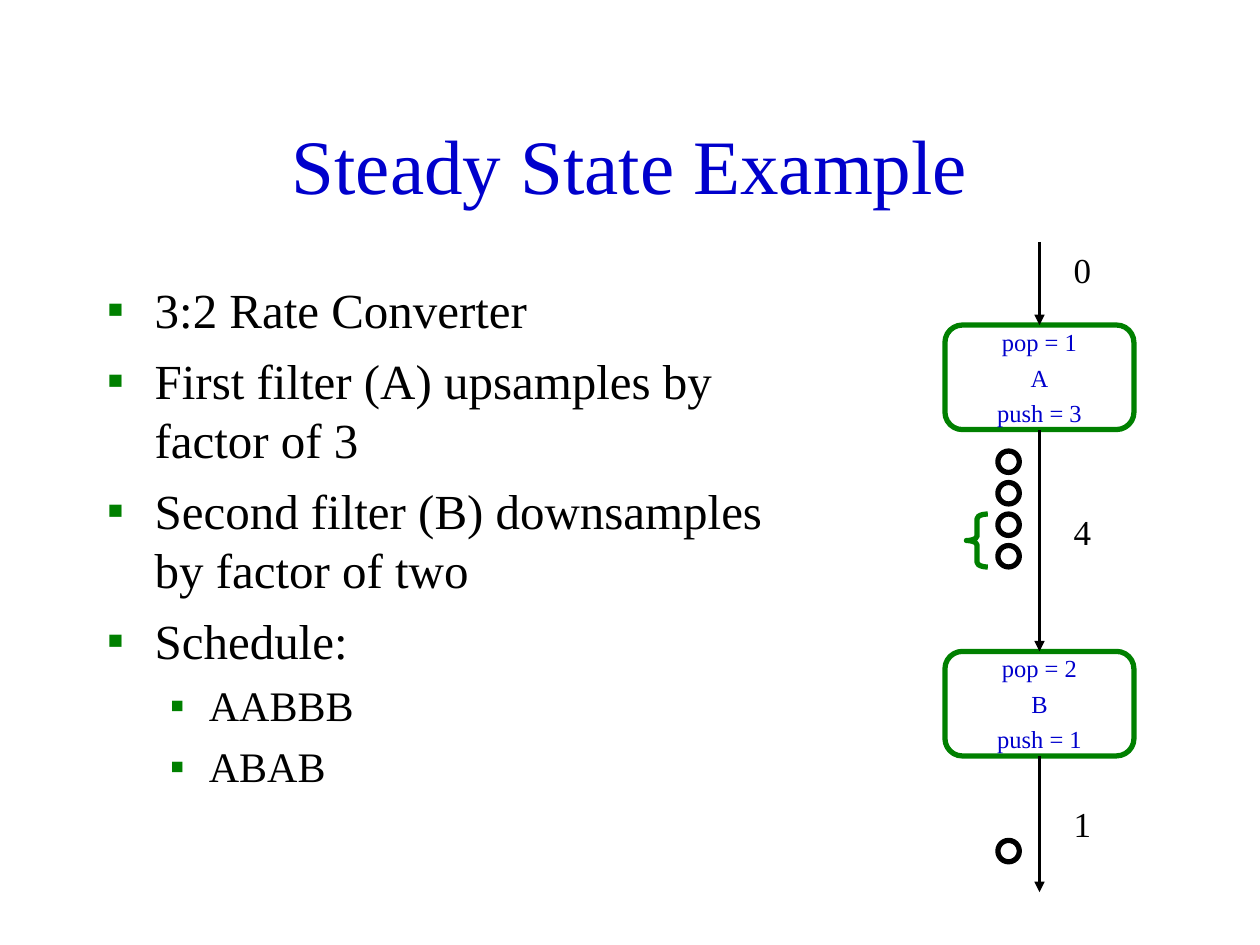
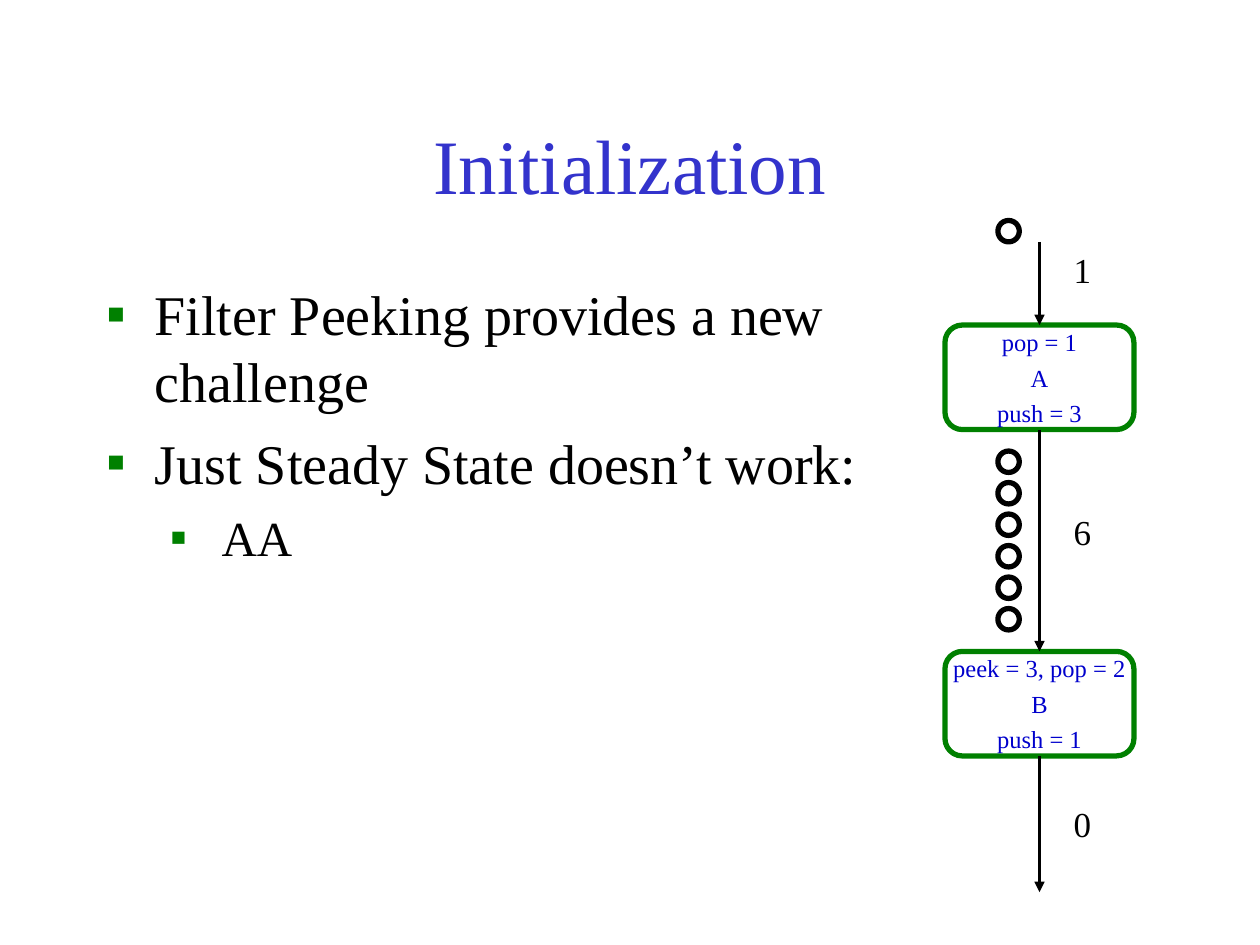
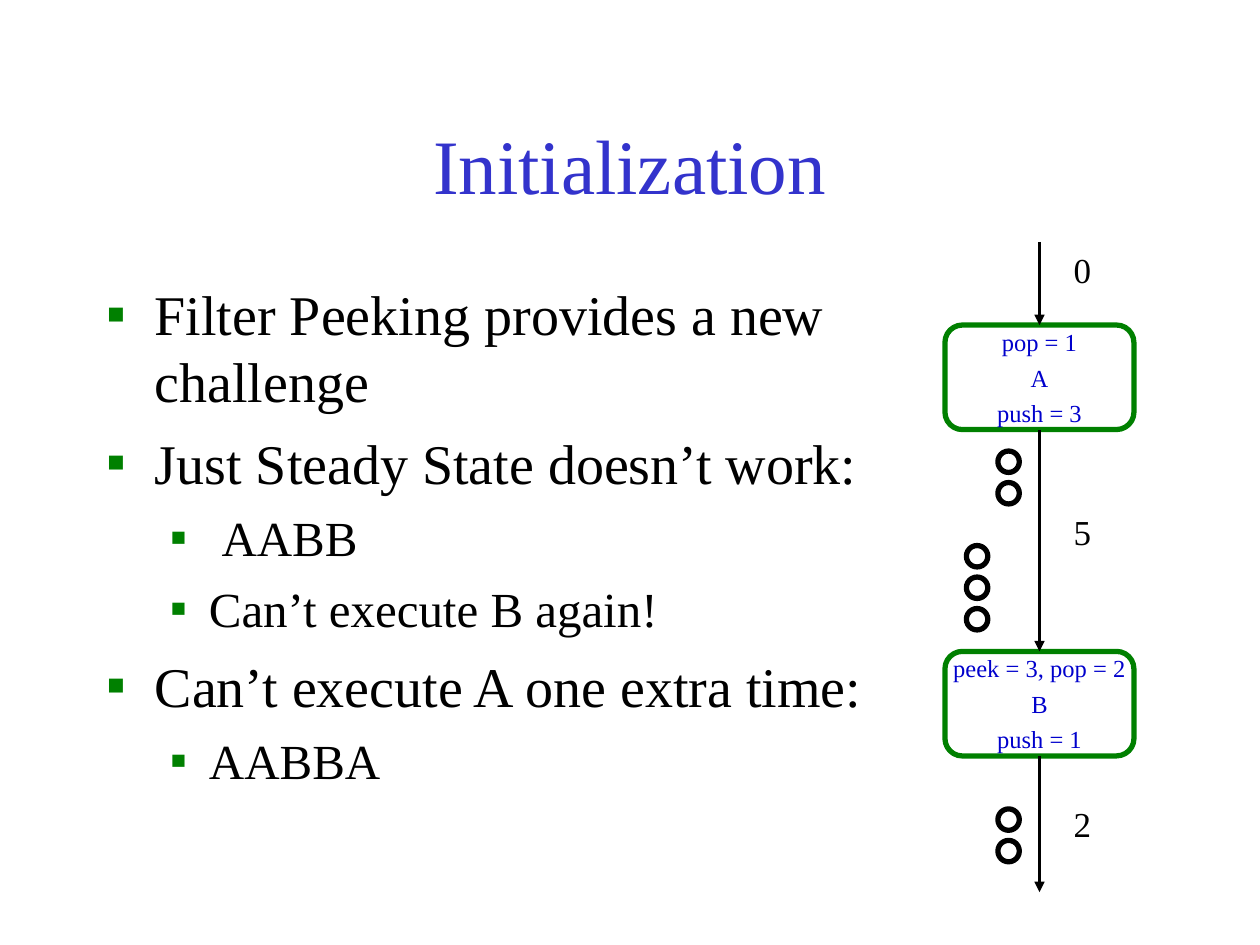
from dataclasses import dataclass
from typing import Optional

from lxml import etree
from pptx import Presentation
from pptx.dml.color import RGBColor
from pptx.enum import shapes, text
from pptx.oxml import ns
from pptx.util import Inches, Pt

FONT = "Times New Roman"
BLACK = "000000"
BLUE = "0000CC"
INDIGO = "3333CC"
GREEN = "008000"

PIPE_X = 8.25
BOX_LEFT, BOX_WIDTH, BOX_HEIGHT = 7.5, 1.5, 0.83
FILTER_TOPS = (2.58, 5.17)
PIPE_START, PIPE_END = 1.92, 7.08
LABEL_TOPS = (1.92, 4, 6.32)
TOKEN_SIZE, TOKEN_STEP = 0.17, 0.25
NEAR_X, FAR_X = 7.92, 7.67


@dataclass(frozen=True)
class Bullet:
    text: str
    level: int = 0
    extra_indent: float = 0


@dataclass(frozen=True)
class Level:
    left: float
    hanging: float
    size_drop: int
    space_drop: int


@dataclass(frozen=True)
class Tokens:
    left: float
    top: float
    count: int


@dataclass(frozen=True)
class Brace:
    left: float
    top: float
    width: float
    height: float


@dataclass(frozen=True)
class Page:
    title: str
    title_color: str
    body_width: float
    body_size: int
    body_space: int
    bullets: tuple[Bullet, ...]
    filter_b_input: str
    counts: tuple[str, str, str]
    tokens: tuple[Tokens, ...]
    brace: Optional[Brace] = None


LEVELS = (Level(0.38, 0.38, 0, 0), Level(0.81, 0.31, 4, 1))

PEEKING = (
    Bullet("Filter Peeking provides a new challenge"),
    Bullet("Just Steady State doesn’t work:"),
)

PAGES = (
    Page(
        "Steady State Example", BLUE, 5.83, 28, 7,
        (
            Bullet("3:2 Rate Converter"),
            Bullet("First filter (A) upsamples by factor of 3"),
            Bullet("Second filter (B) downsamples by factor of two"),
            Bullet("Schedule:"),
            Bullet("AABBB", 1),
            Bullet("ABAB", 1),
        ),
        "pop = 2",
        ("0", "4", "1"),
        (Tokens(NEAR_X, 3.58, 4), Tokens(NEAR_X, 6.67, 1)),
        Brace(FAR_X, 4.08, 0.17, 0.42),
    ),
    Page(
        "Initialization", INDIGO, 6.42, 32, 8,
        PEEKING + (Bullet("AA", 1, 0.1),),
        "peek = 3, pop = 2",
        ("1", "6", "0"),
        (Tokens(NEAR_X, 1.75, 1), Tokens(NEAR_X, 3.58, 6)),
    ),
    Page(
        "Initialization", INDIGO, 6.42, 32, 8,
        PEEKING + (
            Bullet("AABB", 1, 0.1),
            Bullet("Can’t execute B again!", 1),
            Bullet("Can’t execute A one extra time:"),
            Bullet("AABBA", 1),
        ),
        "peek = 3, pop = 2",
        ("0", "5", "2"),
        (Tokens(NEAR_X, 3.58, 2), Tokens(FAR_X, 4.33, 3), Tokens(NEAR_X, 6.42, 2)),
    ),
)


def rgb(value: str) -> RGBColor:
    return RGBColor.from_string(value)


def write(frame, content: str, *, size: float, color: str = BLACK,
          align=text.PP_ALIGN.LEFT, space: float = 0, first: bool = False,
          bullet: Optional[Bullet] = None) -> None:
    paragraph = frame.paragraphs[0] if first else frame.add_paragraph()
    paragraph.alignment = align
    paragraph.space_before = Pt(0 if first else space)
    if bullet:
        add_bullet(paragraph, bullet)
    paragraph.font.size = Pt(size)
    run = paragraph.add_run()
    run.text = content
    run.font.name = FONT
    run.font.size = Pt(size)
    run.font.color.rgb = rgb(color)


def add_bullet(paragraph, bullet: Bullet) -> None:
    level = LEVELS[bullet.level]
    paragraph.level = bullet.level
    properties = paragraph._p.get_or_add_pPr()
    properties.set("marL", str(Inches(level.left + bullet.extra_indent)))
    properties.set("indent", str(-Inches(level.hanging + bullet.extra_indent)))
    color = etree.SubElement(properties, ns.qn("a:buClr"))
    etree.SubElement(color, ns.qn("a:srgbClr"), val=GREEN)
    etree.SubElement(properties, ns.qn("a:buFont"), typeface=FONT)
    etree.SubElement(properties, ns.qn("a:buChar"), char="▪")


def add_frame(slide, left: float, top: float, width: float, height: float):
    box = slide.shapes.add_textbox(Inches(left), Inches(top), Inches(width), Inches(height))
    box.text_frame.word_wrap = True
    return box.text_frame


def add_outline(slide, kind, left: float, top: float, width: float, height: float, color: str):
    shape = slide.shapes.add_shape(kind, Inches(left), Inches(top), Inches(width), Inches(height))
    shape.shadow.inherit = False
    shape.fill.background()
    shape.line.color.rgb = rgb(color)
    shape.line.width = Pt(3)
    return shape


def add_title(slide, page: Page) -> None:
    frame = add_frame(slide, 0.75, 0.67, 8.5, 1.25)
    frame.vertical_anchor = text.MSO_ANCHOR.MIDDLE
    write(frame, page.title, size=44, color=page.title_color,
          align=text.PP_ALIGN.CENTER, first=True)


def add_body(slide, page: Page) -> None:
    frame = add_frame(slide, 0.75, 2.17, page.body_width, 4.5)
    for index, bullet in enumerate(page.bullets):
        level = LEVELS[bullet.level]
        write(frame, bullet.text, size=page.body_size - level.size_drop,
              space=page.body_space - level.space_drop, first=index == 0, bullet=bullet)


def add_filter(slide, top: float, lines: tuple[str, ...]):
    shape = add_outline(slide, shapes.MSO_SHAPE.ROUNDED_RECTANGLE,
                        BOX_LEFT, top, BOX_WIDTH, BOX_HEIGHT, GREEN)
    frame = shape.text_frame
    frame.word_wrap = False
    frame.vertical_anchor = text.MSO_ANCHOR.MIDDLE
    for index, line in enumerate(lines):
        write(frame, line, size=14, color=BLUE, align=text.PP_ALIGN.CENTER,
              space=3.5, first=index == 0)
    return shape


def add_arrow(slide, start: float, end: float, source=None, target=None) -> None:
    connector = slide.shapes.add_connector(
        shapes.MSO_CONNECTOR.STRAIGHT,
        Inches(PIPE_X), Inches(start), Inches(PIPE_X), Inches(end))
    if source is not None:
        connector.begin_connect(source, 2)
    if target is not None:
        connector.end_connect(target, 0)
    connector.line.color.rgb = rgb(BLACK)
    connector.line.width = Pt(1.5)
    etree.SubElement(connector.line._get_or_add_ln(), ns.qn("a:tailEnd"), type="triangle")
    etree.SubElement(connector._element.spPr, ns.qn("a:effectLst"))


def add_count(slide, top: float, count: str) -> None:
    frame = add_frame(slide, 8.42, top, 0.34, 0.44)
    frame.word_wrap = False
    frame.auto_size = text.MSO_AUTO_SIZE.SHAPE_TO_FIT_TEXT
    write(frame, count, size=20, align=text.PP_ALIGN.CENTER, first=True)


def add_tokens(slide, tokens: Tokens) -> None:
    for index in range(tokens.count):
        add_outline(slide, shapes.MSO_SHAPE.OVAL, tokens.left,
                    tokens.top + index * TOKEN_STEP, TOKEN_SIZE, TOKEN_SIZE, BLACK)


def add_brace(slide, brace: Brace) -> None:
    shape = add_outline(slide, shapes.MSO_SHAPE.LEFT_BRACE,
                        brace.left, brace.top, brace.width, brace.height, GREEN)
    shape.adjustments[0] = 0.21


def add_pipeline(slide, page: Page) -> None:
    top_a, top_b = FILTER_TOPS
    filter_a = add_filter(slide, top_a, ("pop = 1", "A", "push = 3"))
    filter_b = add_filter(slide, top_b, (page.filter_b_input, "B", "push = 1"))
    add_arrow(slide, PIPE_START, top_a, target=filter_a)
    add_arrow(slide, top_a + BOX_HEIGHT, top_b, filter_a, filter_b)
    add_arrow(slide, top_b + BOX_HEIGHT, PIPE_END, source=filter_b)
    for top, count in zip(LABEL_TOPS, page.counts):
        add_count(slide, top, count)
    for tokens in page.tokens:
        add_tokens(slide, tokens)
    if page.brace:
        add_brace(slide, page.brace)


def main() -> None:
    presentation = Presentation()
    presentation.slide_width = Inches(10)
    presentation.slide_height = Inches(7.5)
    for page in PAGES:
        slide = presentation.slides.add_slide(presentation.slide_layouts[6])
        add_title(slide, page)
        add_body(slide, page)
        add_pipeline(slide, page)
    presentation.save("out.pptx")


if __name__ == "__main__":
    main()
